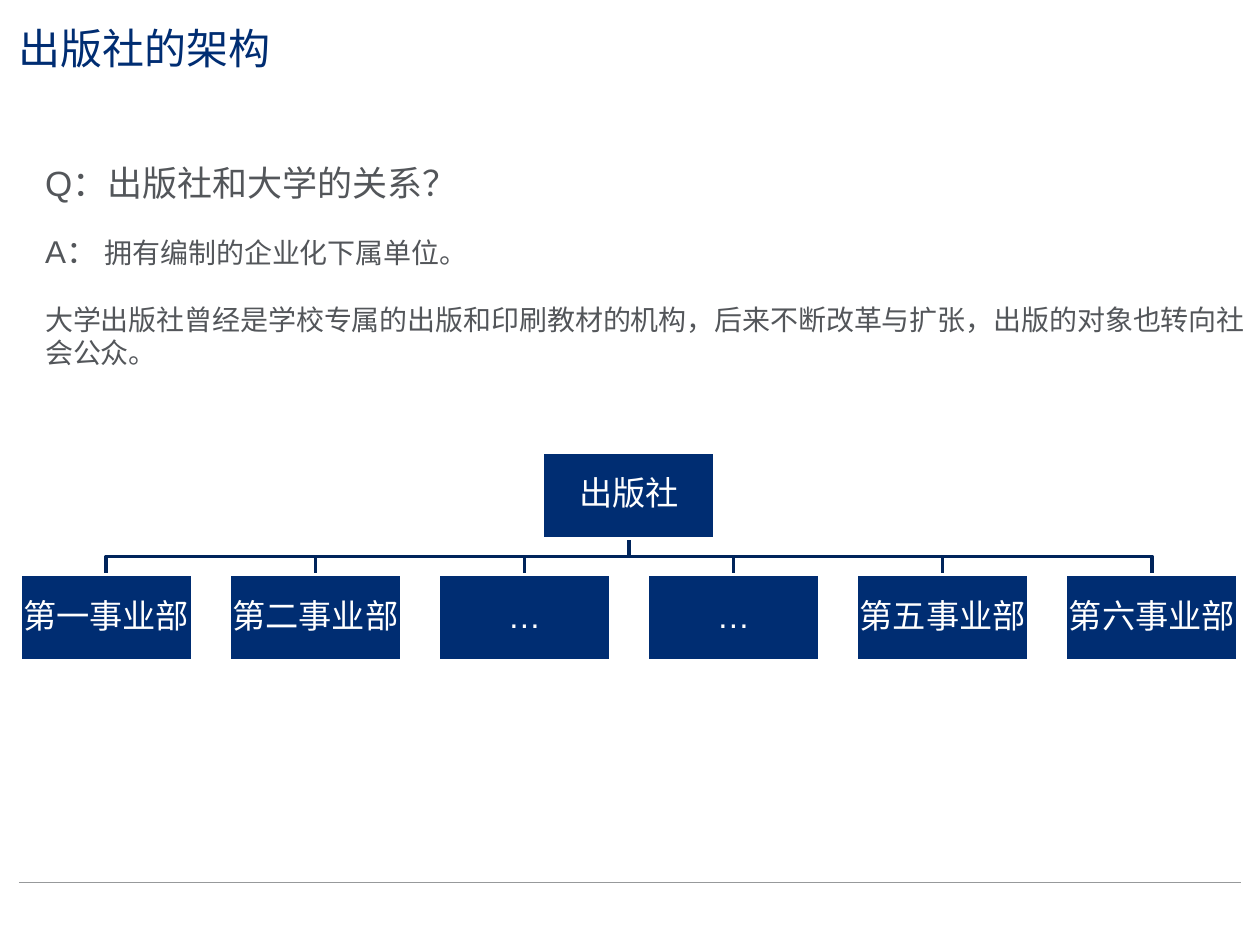
"""Build a slide on how a publishing house is organised."""
from pptx import Presentation
from pptx.dml.color import RGBColor
from pptx.enum.shapes import MSO_CONNECTOR, MSO_SHAPE
from pptx.enum.text import MSO_ANCHOR, PP_ALIGN
from pptx.oxml.ns import qn
from pptx.util import Pt
from lxml.etree import SubElement

NAVY = RGBColor(0x00, 0x2D, 0x72)
DARK = RGBColor(0x00, 0x24, 0x5B)
GREY = RGBColor(0x53, 0x56, 0x5A)
RULE = RGBColor(0x97, 0x99, 0x9B)
WHITE = RGBColor(0xFF, 0xFF, 0xFF)
FONT = "Arial"

TITLE = "出版社的架构"
BODY = [
    (0, [("Q：出版社和大学的关系？", 20)]),
    (16.5, [("A： ", 18), ("拥有编制的企业化下属单位。", 16)]),
    (18.5, [("大学出版社曾经是学校专属的出版和印刷教材的机构，后来不断改革与扩张，"
             "出版的对象也转向社会公众。", 16)]),
]
ROOT = "出版社"
UNITS = ["第一事业部", "第二事业部", "…", "…", "第五事业部", "第六事业部"]

WIDE, HIGH = 98.6, 49.4
LEFT, STEP = 11.4, 119.5
TOP, ROW = 258.2, 328.3
MID = LEFT + (STEP * (len(UNITS) - 1) + WIDE) / 2


def add_run(para, text, size, color):
    run = para.add_run()
    run.text = text
    run.font.size = Pt(size)
    run.font.name = FONT
    run.font.color.rgb = color


def set_inset(frame, inset):
    frame.margin_left = frame.margin_right = Pt(inset)
    frame.margin_top = frame.margin_bottom = Pt(inset)


def add_text(slide, left, top, width, height):
    box = slide.shapes.add_textbox(Pt(left), Pt(top), Pt(width), Pt(height))
    box.text_frame.word_wrap = True
    return box.text_frame


def add_box(slide, left, top, text):
    box = slide.shapes.add_shape(
        MSO_SHAPE.RECTANGLE, Pt(left), Pt(top), Pt(WIDE), Pt(HIGH))
    box.shadow.inherit = False
    box.fill.solid()
    box.fill.fore_color.rgb = NAVY
    box.line.color.rgb = WHITE
    box.line.width = Pt(2)
    frame = box.text_frame
    set_inset(frame, 0.7)
    frame.vertical_anchor = MSO_ANCHOR.MIDDLE
    para = frame.paragraphs[0]
    para.alignment = PP_ALIGN.CENTER
    para.line_spacing = 0.9
    add_run(para, text, 19, WHITE)


def add_link(slide, end):
    start = TOP + HIGH
    bend = (start + ROW) / 2
    pen = slide.shapes.build_freeform(Pt(MID), Pt(start))
    pen.add_line_segments(
        [(Pt(MID), Pt(bend)), (Pt(end), Pt(bend)), (Pt(end), Pt(ROW))],
        close=False)
    link = pen.convert_to_shape()
    link.shadow.inherit = False
    link.fill.background()
    link.line.color.rgb = DARK
    link.line.width = Pt(2)


def main():
    deck = Presentation()
    deck.slide_width, deck.slide_height = Pt(720), Pt(540)
    slide = deck.slides.add_slide(deck.slide_layouts[6])

    rule = slide.shapes.add_connector(
        MSO_CONNECTOR.STRAIGHT, Pt(10.8), Pt(504), Pt(709.2), Pt(504))
    rule.line.color.rgb = RULE
    rule.line.width = Pt(0.5)
    SubElement(rule.element.spPr, qn("a:effectLst"))

    lefts = [LEFT + STEP * i for i in range(len(UNITS))]
    for left in reversed(lefts):
        add_link(slide, left + WIDE / 2)
    add_box(slide, MID - WIDE / 2, TOP, ROOT)
    for left, unit in zip(lefts, UNITS):
        add_box(slide, left, ROW, unit)

    title = add_text(slide, 10.8, 13, 697.7, 29.5)
    set_inset(title, 0)
    add_run(title.paragraphs[0], TITLE, 24, NAVY)

    body = add_text(slide, 18.7, 88.5, 702, 129)
    for i, (gap, runs) in enumerate(BODY):
        para = body.add_paragraph() if i else body.paragraphs[0]
        para.space_before = Pt(gap)
        for text, size in runs:
            add_run(para, text, size, GREY)

    deck.save("out.pptx")


if __name__ == "__main__":
    main()
